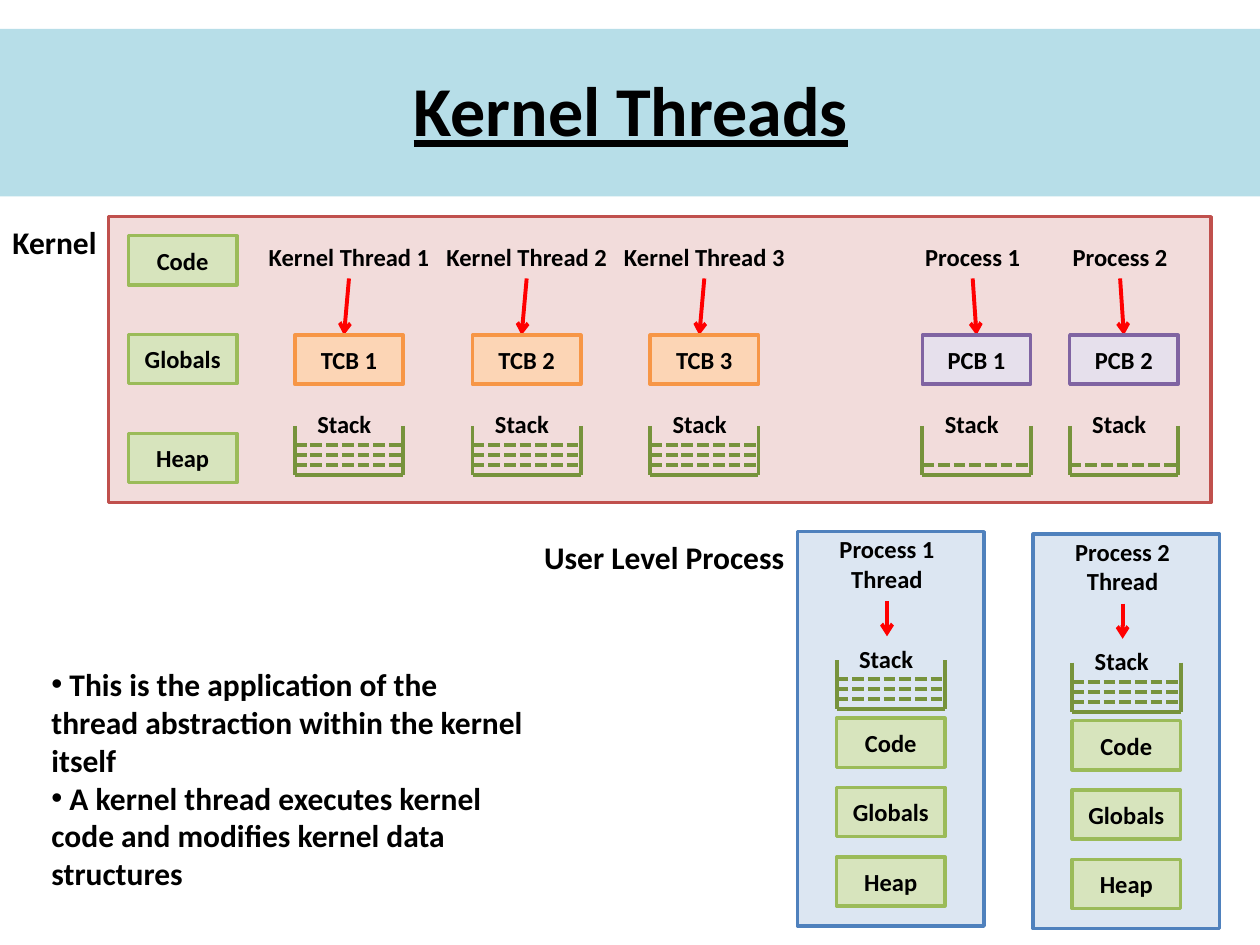
from pptx import Presentation
from pptx.dml.color import RGBColor
from pptx.enum.dml import MSO_LINE
from pptx.enum.shapes import MSO_CONNECTOR, MSO_SHAPE
from pptx.enum.text import MSO_ANCHOR, PP_ALIGN
from pptx.oxml.ns import qn
from pptx.util import Inches, Pt
from lxml.etree import SubElement

FONT, BLACK = "Calibri", "000000"
RED, OLIVE = "FF0000", "77933C"
GREEN = ("D7E4BD", "9BBB59")
ORANGE = ("FCD5B5", "F79646")
PURPLE = ("E6E0EC", "8064A2")
PINK = ("F2DCDB", "C0504D")
BLUE = ("DCE6F2", "4F81BD")
CELL_W, CELL_H = 0.86, 0.39


def color(code):
    return RGBColor.from_string(code)


def style(par, size, align):
    par.alignment = align
    par.font.name = FONT
    par.font.size = Pt(size)
    par.font.bold = True
    par.font.color.rgb = color(BLACK)


def box(slide, x, y, w, h, fill, line=None):
    shape = slide.shapes.add_shape(MSO_SHAPE.RECTANGLE, Inches(x), Inches(y), Inches(w), Inches(h))
    shape.shadow.inherit = False
    shape.fill.solid()
    shape.fill.fore_color.rgb = color(fill)
    if line:
        shape.line.color.rgb = color(line)
        shape.line.width = Pt(2)
    else:
        shape.line.fill.background()
    return shape


def cell(slide, x, y, text, tones):
    frame = box(slide, x, y, CELL_W, CELL_H, *tones).text_frame
    frame.margin_left = frame.margin_right = 0
    frame.vertical_anchor = MSO_ANCHOR.MIDDLE
    frame.text = text
    style(frame.paragraphs[0], 14, PP_ALIGN.CENTER)


def label(slide, x, y, w, h, lines, size=14, align=PP_ALIGN.CENTER, wrap=False):
    frame = slide.shapes.add_textbox(Inches(x), Inches(y), Inches(w), Inches(h)).text_frame
    frame.word_wrap = wrap
    frame.text = "\n".join(lines)
    for par in frame.paragraphs:
        style(par, size, align)
    return frame


def rule(slide, x1, y1, x2, y2, tone=OLIVE, dash=False, arrow=False):
    line = slide.shapes.add_connector(
        MSO_CONNECTOR.STRAIGHT, Inches(x1), Inches(y1), Inches(x2), Inches(y2))
    line.line.color.rgb = color(tone)
    line.line.width = Pt(2.25)
    if dash:
        line.line.dash_style = MSO_LINE.SQUARE_DOT
    if arrow:
        SubElement(line.line._get_or_add_ln(), qn("a:tailEnd"), type="arrow")
    SubElement(line._element.spPr, qn("a:effectLst"))


def stack(slide, x, y, count):
    """Open-topped tank with dashed levels filled from the bottom."""
    right, base = x + CELL_W, y + CELL_H
    rule(slide, right, y, right, base)
    rule(slide, x, y, x, base)
    rule(slide, x, base, right, base)
    for i in range(1, count + 1):
        level = base - 0.08 * i
        rule(slide, x, level, right, level, dash=True)
    label(slide, x + 0.08, y - 0.18, 0.64, 0.34, ["Stack"], align=PP_ALIGN.LEFT)


def banner(slide, x, y, w, h):
    band = box(slide, x, y, w, h, "B7DEE8")
    title = slide.shapes.title
    # Put the band behind the title
    title._element.addprevious(band._element)
    title.left, title.top = Inches(x + 0.12), Inches(y + 0.16)
    title.width, title.height = Inches(w - 0.23), Inches(0.94)
    frame = title.text_frame
    frame.vertical_anchor = MSO_ANCHOR.MIDDLE
    frame.text = "Kernel Threads"
    style(frame.paragraphs[0], 40, PP_ALIGN.CENTER)
    frame.paragraphs[0].font.underline = True


def task(slide, x, y, name, block, tones, count, width, mid, tip):
    """Kernel column: name, arrow, control block and stack."""
    label(slide, x + mid - width / 2, y, width, 0.34, [name])
    rule(slide, x + mid, y + 0.34, x + tip, y + 0.79, RED, arrow=True)
    cell(slide, x, y + 0.79, block, tones)
    stack(slide, x, y + 1.51, count)


def kernel(slide, x, y, w, h):
    box(slide, x, y, w, h, *PINK)
    # The side label runs slightly past the edge so that it stays on one line
    label(slide, x - 0.86, y, 0.92, 0.4, ["Kernel"], 18, PP_ALIGN.LEFT)
    top = y + 0.15
    for i, name in enumerate(["Code", "Globals", "Heap"]):
        cell(slide, x + 0.16, top + 0.785 * i, name, GREEN)
    for i in range(3):
        task(slide, x + 1.48 + 1.41 * i, top, f"Kernel Thread {i + 1}", f"TCB {i + 1}",
             ORANGE, 3, 1.48, 0.43, 0.39)
    for i in range(2):
        task(slide, x + 6.46 + 1.17 * i, top, f"Process {i + 1}", f"PCB {i + 1}",
             PURPLE, 1, 0.96, 0.4, 0.43)


def process(slide, x, y, w, h, name):
    box(slide, x, y, w, h, *BLUE)
    left, mid = x + 0.31, x + 0.71
    for i, part in enumerate(["Code", "Globals", "Heap"]):
        cell(slide, left, y + 1.48 + 0.55 * i, part, GREEN)
    stack(slide, left, y + 1.02, 3)
    label(slide, mid - 0.48, y - 0.03, 0.96, 0.57, [name, "Thread"])
    rule(slide, mid, y + 0.55, mid, y + 0.83, RED, arrow=True)


def notes(slide, x, y, w, h):
    frame = label(slide, x, y, w, h, [
        " This is the application of the thread abstraction within the kernel itself",
        " A kernel thread executes kernel code and modifies kernel data structures",
    ], 18, PP_ALIGN.LEFT, True)
    for par in frame.paragraphs:
        props = par._p.get_or_add_pPr()
        SubElement(props, qn("a:buFont"), typeface="Arial")
        SubElement(props, qn("a:buChar"), char="•")
        # Bullet settings precede the default run settings
        props.append(props.find(qn("a:defRPr")))


def main():
    deck = Presentation()
    deck.slide_width, deck.slide_height = Inches(10), Inches(7.5)
    slide = deck.slides.add_slide(deck.slide_layouts[5])
    banner(slide, 0, 0.23, 10, 1.33)
    notes(slide, 0.31, 5.23, 3.99, 2.1)
    kernel(slide, 0.86, 1.72, 8.75, 2.27)
    # User level processes
    label(slide, 4.22, 4.22, 2.14, 0.4, ["User Level Process"], 18, PP_ALIGN.LEFT)
    process(slide, 6.33, 4.22, 1.48, 3.13, "Process 1")
    process(slide, 8.2, 4.24, 1.48, 3.13, "Process 2")
    deck.save("out.pptx")


if __name__ == "__main__":
    main()
